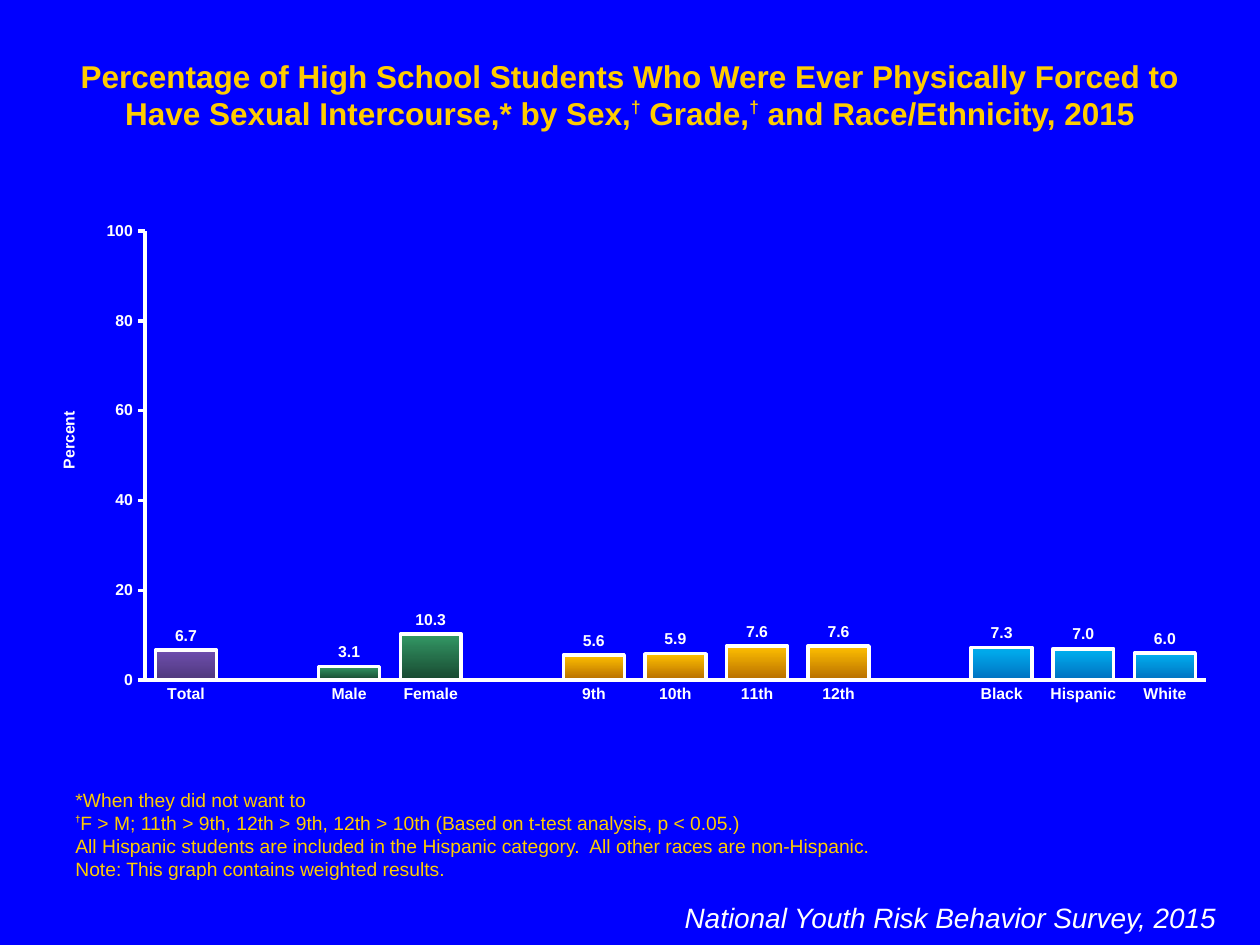
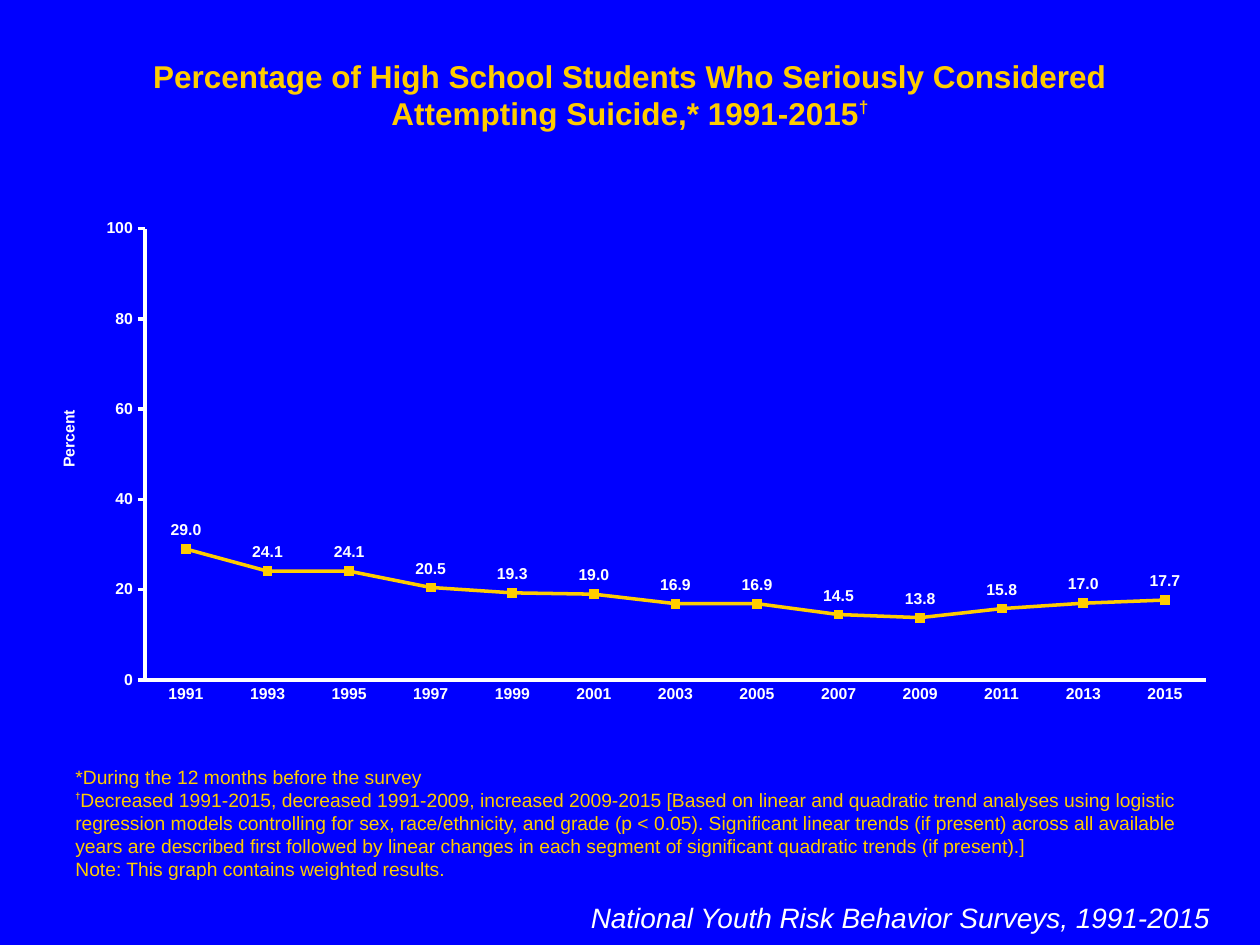
from dataclasses import dataclass
from typing import Optional

from pptx import Presentation
from pptx.chart.data import CategoryChartData
from pptx.dml.color import RGBColor
from pptx.enum.chart import XL_CHART_TYPE, XL_LABEL_POSITION, XL_MARKER_STYLE, XL_TICK_MARK
from pptx.enum.text import MSO_ANCHOR, MSO_AUTO_SIZE, PP_ALIGN
from pptx.oxml import parse_xml
from pptx.oxml.ns import nsdecls, qn
from pptx.util import Inches, Pt

FONT = "Arial"
BLUE = RGBColor(0x00, 0x00, 0xFF)
YELLOW = RGBColor(0xFF, 0xCC, 0x00)
WHITE = RGBColor(0xFF, 0xFF, 0xFF)
DAGGER = "†"
LINE_WIDTH = Pt(2)


@dataclass(frozen=True)
class Gradient:
    top: RGBColor
    bottom: RGBColor


PURPLE_BAR = Gradient(RGBColor(0x6E, 0x4E, 0xAE), RGBColor(0x4F, 0x38, 0x7C))
GREEN_BAR = Gradient(RGBColor(0x33, 0x99, 0x66), RGBColor(0x18, 0x47, 0x2F))
GOLD_BAR = Gradient(RGBColor(0xFF, 0xC0, 0x00), RGBColor(0xB6, 0x6D, 0x00))
SKY_BAR = Gradient(RGBColor(0x00, 0xB0, 0xF0), RGBColor(0x00, 0x70, 0xC0))


@dataclass(frozen=True)
class TextStyle:
    size: float
    color: RGBColor
    dagger_size: float = 0
    dagger_baseline: int = 0
    bold: bool = False
    italic: bool = False
    dagger_bold: bool = True
    align: PP_ALIGN = PP_ALIGN.LEFT
    anchor: MSO_ANCHOR = MSO_ANCHOR.TOP


TITLE = TextStyle(18, YELLOW, 17, 40000, bold=True, align=PP_ALIGN.CENTER)
NOTES = TextStyle(11, YELLOW, 9, 50000, anchor=MSO_ANCHOR.BOTTOM)
SOURCE = TextStyle(16, WHITE, italic=True, align=PP_ALIGN.RIGHT)


@dataclass(frozen=True)
class Area:
    left: float
    top: float
    width: float
    height: float

    def lengths(self) -> tuple:
        return tuple(Inches(n) for n in (self.left, self.top, self.width, self.height))


TITLE_AREA = Area(0.5, 0.4, 9, 0.4)
NOTES_AREA = Area(0.5, 6.75, 9, 0.29)


@dataclass(frozen=True)
class Bar:
    category: str
    value: Optional[float] = None
    gradient: Optional[Gradient] = None


@dataclass(frozen=True)
class SurveyPage:
    title: str
    notes: tuple
    source: str
    source_area: Area
    chart_area: Area


GAP = Bar("")
BARS = (
    Bar("Total", 6.7, PURPLE_BAR),
    GAP,
    Bar("Male", 3.1, GREEN_BAR),
    Bar("Female", 10.3, GREEN_BAR),
    GAP,
    Bar("9th", 5.6, GOLD_BAR),
    Bar("10th", 5.9, GOLD_BAR),
    Bar("11th", 7.6, GOLD_BAR),
    Bar("12th", 7.6, GOLD_BAR),
    GAP,
    Bar("Black", 7.3, SKY_BAR),
    Bar("Hispanic", 7.0, SKY_BAR),
    Bar("White", 6.0, SKY_BAR),
)
TREND_YEARS = [str(year) for year in range(1991, 2016, 2)]
TREND_VALUES = [29.0, 24.1, 24.1, 20.5, 19.3, 19.0, 16.9, 16.9, 14.5, 13.8, 15.8, 17.0, 17.7]
WEIGHTED = "Note: This graph contains weighted results."

FORCED = SurveyPage(
    "Percentage of High School Students Who Were Ever Physically Forced to "
    "Have Sexual Intercourse,* by Sex,† Grade,† and Race/Ethnicity, 2015",
    (
        "*When they did not want to",
        "†F > M; 11th > 9th, 12th > 9th, 12th > 10th (Based on t-test analysis, p < 0.05.)",
        "All Hispanic students are included in the Hispanic category.  "
        "All other races are non-Hispanic.",
        WEIGHTED,
    ),
    "National Youth Risk Behavior Survey, 2015",
    Area(4.25, 7.1, 5.5, 0.64),
    Area(0.25, 1.69, 9.5, 3.98),
)
CONSIDERED = SurveyPage(
    "Percentage of High School Students Who Seriously Considered "
    "Attempting Suicide,* 1991-2015†",
    (
        "*During the 12 months before the survey",
        "†Decreased 1991-2015, decreased 1991-2009, increased 2009-2015 [Based on linear and "
        "quadratic trend analyses using logistic regression models controlling for sex, "
        "race/ethnicity, and grade (p < 0.05). Significant linear trends (if present) across "
        "all available years are described first followed by linear changes in each segment "
        "of significant quadratic trends (if present).]",
        WEIGHTED,
    ),
    "National Youth Risk Behavior Surveys, 1991-2015",
    Area(4.53, 7.1, 5.17, 0.37),
    Area(0.25, 1.67, 9.5, 4),
)


def set_font(font, size: float, color: RGBColor, bold: bool, italic: bool = False) -> None:
    font.name = FONT
    font.size = Pt(size)
    font.bold = bold
    font.italic = italic
    font.color.rgb = color


def add_span(para, text: str, style: TextStyle) -> None:
    span = para.add_run()
    span.text = text
    if text == DAGGER:
        set_font(span.font, style.dagger_size, style.color, style.dagger_bold)
        span.font._element.set("baseline", str(style.dagger_baseline))
    else:
        set_font(span.font, style.size, style.color, style.bold, style.italic)


def add_text(page, area: Area, lines: tuple, style: TextStyle) -> None:
    """Add a text box in which every dagger is raised."""
    frame = page.shapes.add_textbox(*area.lengths()).text_frame
    frame.word_wrap = True
    frame.auto_size = MSO_AUTO_SIZE.SHAPE_TO_FIT_TEXT
    frame.vertical_anchor = style.anchor
    for number, line in enumerate(lines):
        para = frame.add_paragraph() if number else frame.paragraphs[0]
        para.alignment = style.align
        for index, part in enumerate(line.split(DAGGER)):
            if index:
                add_span(para, DAGGER, style)
            if part:
                add_span(para, part, style)


def manual_layout(inner: bool = False, **fractions: float):
    """Return a c:layout element; the fractions are of the chart's size."""
    target = '<c:layoutTarget val="inner"/>' if inner else ""
    modes = '<c:xMode val="edge"/><c:yMode val="edge"/>'
    values = "".join(f'<c:{key} val="{value}"/>' for key, value in fractions.items())
    return parse_xml(
        f"<c:layout {nsdecls('c')}><c:manualLayout>{target}{modes}{values}"
        "</c:manualLayout></c:layout>"
    )


def drop_layout(element) -> None:
    for layout in element.findall(qn("c:layout")):
        element.remove(layout)


def style_axis(axis, tick: XL_TICK_MARK) -> None:
    axis.has_major_gridlines = False
    axis.major_tick_mark = tick
    axis.minor_tick_mark = XL_TICK_MARK.NONE
    axis.format.line.color.rgb = WHITE
    axis.format.line.width = LINE_WIDTH
    set_font(axis.tick_labels.font, 9, WHITE, True)


def add_percent_title(axis) -> None:
    frame = axis.axis_title.text_frame
    frame.text = "Percent"
    set_font(frame.paragraphs[0].runs[0].font, 9, WHITE, True)
    title = axis.axis_title._element
    body = title.find(".//" + qn("a:bodyPr"))
    body.set("rot", "-5400000")
    body.set("vert", "horz")
    drop_layout(title)
    title.find(qn("c:tx")).addnext(manual_layout(x=0.02, y=0.39))


def add_percent_chart(page, area: Area, kind: XL_CHART_TYPE, categories, values, label_position):
    """Add a one-series chart on a 0 to 100 percent axis."""
    data = CategoryChartData()
    data.categories = categories
    data.add_series("Series 1", values)
    chart = page.shapes.add_chart(kind, *area.lengths(), data).chart
    chart.has_legend = False
    chart.has_title = False
    set_font(chart.font, 18, WHITE, False)

    style_axis(chart.category_axis, XL_TICK_MARK.NONE)
    axis = chart.value_axis
    style_axis(axis, XL_TICK_MARK.OUTSIDE)
    axis.minimum_scale, axis.maximum_scale, axis.major_unit = 0, 100, 20
    axis.tick_labels.number_format = "#,##0"
    axis.tick_labels.number_format_is_linked = False
    add_percent_title(axis)

    plot = chart.plots[0]
    plot.vary_by_categories = False
    labels = plot.series[0].data_labels
    labels.show_value = True
    labels.number_format = "#,##0.0"
    labels.number_format_is_linked = False
    labels.position = label_position
    set_font(labels.font, 9, WHITE, True)

    plot_area = chart._chartSpace.chart.plotArea
    drop_layout(plot_area)
    plot_area.insert(0, manual_layout(True, x=0.095, y=0.036, w=0.886, h=0.896))
    return plot


def add_bars(page, area: Area) -> None:
    plot = add_percent_chart(
        page, area, XL_CHART_TYPE.COLUMN_CLUSTERED,
        [bar.category for bar in BARS], [bar.value for bar in BARS],
        XL_LABEL_POSITION.OUTSIDE_END,
    )
    plot.gap_width = 34
    plot.overlap = 100
    for index, bar in enumerate(BARS):
        if bar.gradient is None:
            continue
        look = plot.series[0].points[index].format
        look.fill.gradient()
        look.fill.gradient_angle = 270
        stops = look.fill.gradient_stops
        stops[0].color.rgb = bar.gradient.top
        stops[1].color.rgb = bar.gradient.bottom
        look.line.color.rgb = WHITE
        look.line.width = LINE_WIDTH


def add_trend(page, area: Area) -> None:
    plot = add_percent_chart(
        page, area, XL_CHART_TYPE.LINE_MARKERS, TREND_YEARS, TREND_VALUES,
        XL_LABEL_POSITION.ABOVE,
    )
    trend = plot.series[0]
    trend.smooth = False
    trend.format.line.color.rgb = YELLOW
    trend.format.line.width = LINE_WIDTH
    trend.marker.style = XL_MARKER_STYLE.SQUARE
    trend.marker.size = 5
    trend.marker.format.fill.solid()
    trend.marker.format.fill.fore_color.rgb = YELLOW
    trend.marker.format.line.color.rgb = YELLOW


def main() -> None:
    deck = Presentation()
    deck.slide_width, deck.slide_height = Inches(10), Inches(7.5)
    # Shared background
    background = deck.slide_master.background.fill
    background.solid()
    background.fore_color.rgb = BLUE
    # Title, notes, source line and chart of each page
    for survey, draw_chart in ((FORCED, add_bars), (CONSIDERED, add_trend)):
        page = deck.slides.add_slide(deck.slide_layouts[6])
        add_text(page, TITLE_AREA, (survey.title,), TITLE)
        add_text(page, NOTES_AREA, survey.notes, NOTES)
        add_text(page, survey.source_area, (survey.source,), SOURCE)
        draw_chart(page, survey.chart_area)
    deck.save("out.pptx")


if __name__ == "__main__":
    main()
